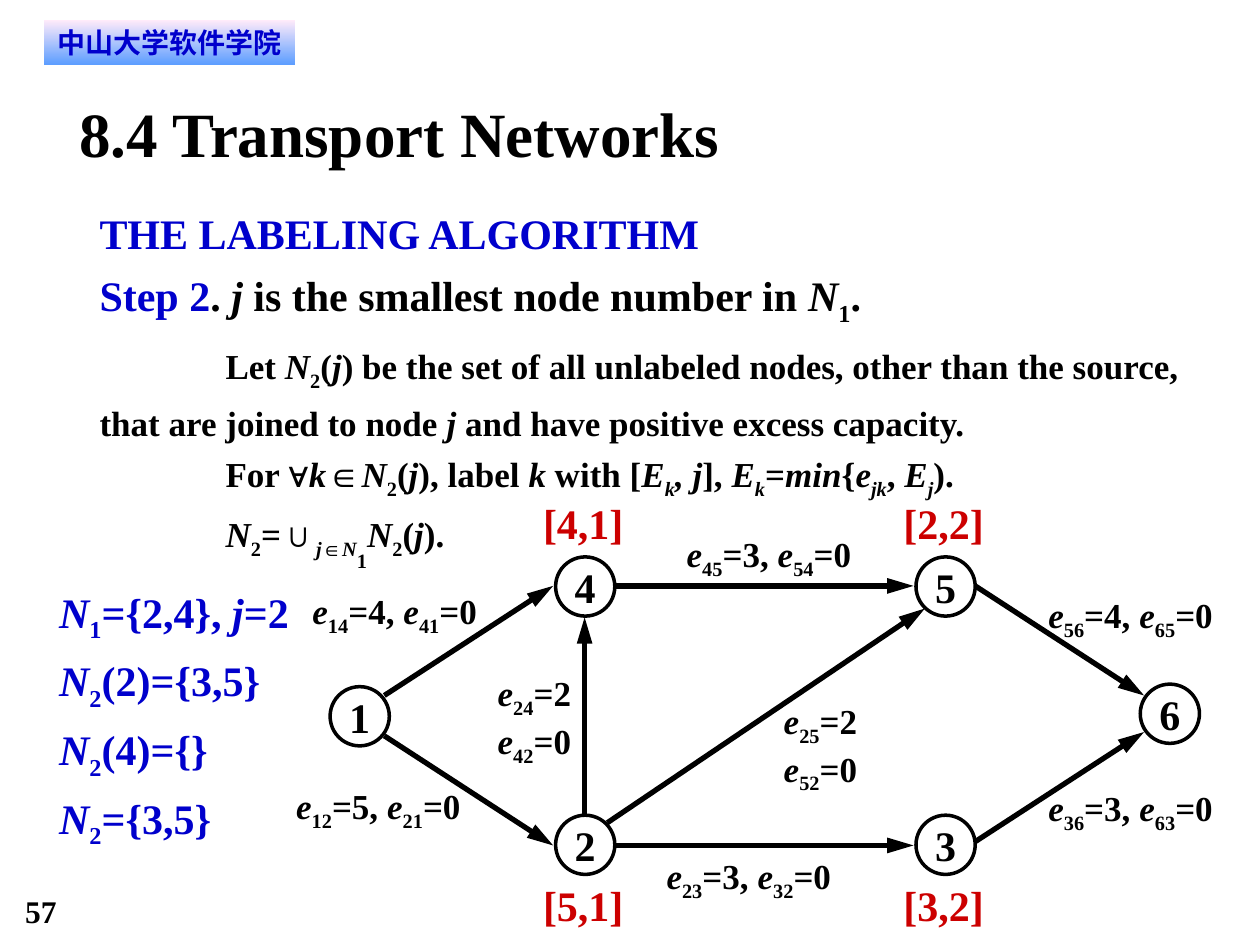
from itertools import groupby

from lxml import etree
from pptx import Presentation
from pptx.dml.color import RGBColor
from pptx.enum.shapes import MSO_CONNECTOR, MSO_SHAPE
from pptx.enum.text import MSO_ANCHOR, PP_ALIGN
from pptx.oxml.ns import qn
from pptx.util import Inches, Pt

STRAIGHT = MSO_CONNECTOR.STRAIGHT
OVAL, RECTANGLE = MSO_SHAPE.OVAL, MSO_SHAPE.RECTANGLE
CENTER, MIDDLE = PP_ALIGN.CENTER, MSO_ANCHOR.MIDDLE
COLORS = {"black": "000000", "blue": "0000CC", "red": "CC0000",
          "badge_top": "FFEBFA", "badge_bottom": "5E9EFF"}
FONT, SYMBOL_FONT, BADGE_FONT = "Times New Roman", "Arial", "DejaVu Sans"
SYMBOLS = "∀∈"

# Each mark switches one style on or off inside a text.
MARKS = {"*": "italic", "~": "subscript", "^": "deep subscript", "|": "blue", "%": "large"}
BASELINES = {"subscript": "-25000", "deep subscript": "-60000"}
LARGE = 24

BADGE = "中山大学软件学院"
TITLE = "8.4 Transport Networks"
PAGE_NUMBER = "57"
ALGORITHM = [
    "%|THE LABELING ALGORITHM|%",
    "%|Step 2|. *j* is the smallest node number in *N*~1~.%",
    "%\t%Let *N*~2~(*j*) be the set of all unlabeled nodes, other than the source, "
    "that are joined to node *j* and have positive excess capacity.",
    "\tFor ∀*k*∈*N*~2~(*j*), label *k* with [*E~k~, j*], "
    "*E~k~*=*min*{*e~jk~*, *E~j~*).",
    "\t*N*~2~=∪~*j*∈*N*~^1^*N*~2~(*j*).",
]
SETS = ["*N*~1~={2,4}, *j*=2", "*N*~2~(2)={3,5}", "*N*~2~(4)={}", "*N*~2~={3,5}"]

NODE_SIZE = 0.47
NODES = {"1": (2.62, 5.45), "2": (4.41, 6.47), "3": (7.27, 6.47),
         "4": (4.41, 4.42), "5": (7.27, 4.42), "6": (9.05, 5.43)}
NODE_LABELS = {"4": "[4,1]", "2": "[5,1]", "5": "[2,2]", "3": "[3,2]"}
LABEL_OUTDENT, LABEL_TOP_ROW, LABEL_BOTTOM_ROW = 0.1, 3.95, 6.98

# Arrow start, arrow end
ARROWS = [
    ((4.89, 4.65), (7.25, 4.65)), ((4.64, 6.48), (4.64, 4.9)),
    ((7.74, 6.68), (9.08, 5.81)), ((4.89, 6.71), (7.25, 6.71)),
    ((7.74, 4.65), (9.08, 5.52)), ((4.82, 6.53), (7.34, 4.83)),
    ((3.05, 5.52), (4.39, 4.65)), ((3.05, 5.84), (4.39, 6.71)),
]
# Edge, excess capacity forward and backward, label position, stacked on two lines
EDGES = [
    ("25", 2, 0, (6.22, 5.55), True), ("12", 5, 0, (2.35, 6.23), False),
    ("24", 2, 0, (3.95, 5.33), True), ("23", 3, 0, (5.29, 6.78), False),
    ("36", 3, 0, (8.32, 6.24), False), ("56", 4, 0, (8.32, 4.71), False),
    ("14", 4, 0, (2.48, 4.68), False), ("45", 3, 0, (5.45, 4.23), False),
]


def color(name):
    return RGBColor.from_string(COLORS[name])


def add_tab_stop(paragraph, position):
    tabs = etree.SubElement(paragraph._p.get_or_add_pPr(), qn("a:tabLst"))
    etree.SubElement(tabs, qn("a:tab"), pos=str(Inches(position)), algn="l")


def write_paragraph(paragraph, text, size, ink="black", font=FONT):
    """Split marked text into runs of one style each."""
    active, styled = frozenset(), []
    for character in text:
        if character in MARKS:
            active = active ^ {MARKS[character]}
        else:
            styled.append((character, (active, character in SYMBOLS)))
    for (styles, is_symbol), group in groupby(styled, key=lambda pair: pair[1]):
        run = paragraph.add_run()
        run.text = "".join(character for character, _ in group)
        run.font.name = SYMBOL_FONT if is_symbol else font
        run.font.size = Pt(LARGE if "large" in styles else size)
        run.font.bold = True
        run.font.italic = "italic" in styles
        run.font.color.rgb = color("blue" if "blue" in styles else ink)
        properties = run.font._element
        for style in styles & BASELINES.keys():
            properties.set("baseline", BASELINES[style])
        east_asian = etree.SubElement(properties, qn("a:ea"))
        east_asian.set("typeface", run.font.name)


def write(shape, texts, size, align=None, anchor=None, spacing=None,
          wrap=True, margins=(0, 0), tab=None, **style):
    frame = shape.text_frame
    frame.word_wrap = wrap
    frame.margin_left = frame.margin_right = Inches(margins[0])
    frame.margin_top = frame.margin_bottom = Inches(margins[1])
    if anchor is not None:
        frame.vertical_anchor = anchor
    for index, text in enumerate(texts):
        paragraph = frame.add_paragraph() if index else frame.paragraphs[0]
        paragraph.alignment = align
        paragraph.line_spacing = spacing
        if tab:
            add_tab_stop(paragraph, tab)
        write_paragraph(paragraph, text, size, **style)


def add_text(slide, box, texts, size, **style):
    write(slide.shapes.add_textbox(*map(Inches, box)), texts, size, **style)


def add_badge(slide):
    badge = slide.shapes.add_shape(RECTANGLE, *map(Inches, (0.35, 0.16, 1.99, 0.35)))
    badge.shadow.inherit = False
    badge.line.fill.background()
    badge.fill.gradient()
    badge.fill.gradient_angle = 270
    for stop, name in zip(badge.fill.gradient_stops, ("badge_top", "badge_bottom")):
        stop.color.rgb = color(name)
    write(badge, [BADGE], 16, align=CENTER, anchor=MIDDLE, margins=(0.08, 0.04),
          ink="blue", font=BADGE_FONT)


def add_node(slide, name, left, top):
    node = slide.shapes.add_shape(OVAL, *map(Inches, (left, top, NODE_SIZE, NODE_SIZE)))
    node.shadow.inherit = False
    node.fill.background()
    node.line.color.rgb = color("black")
    node.line.width = Pt(2)
    write(node, [name], 24, align=CENTER, anchor=MIDDLE, wrap=False)


def add_arrow(slide, start, end):
    arrow = slide.shapes.add_connector(STRAIGHT, *map(Inches, start + end))
    arrow.line.color.rgb = color("black")
    arrow.line.width = Pt(3)
    head = etree.SubElement(arrow.line._get_or_add_ln(), qn("a:tailEnd"))
    for key, value in (("type", "triangle"), ("w", "med"), ("len", "lg")):
        head.set(key, value)
    etree.SubElement(arrow._element.spPr, qn("a:effectLst"))


def add_edge_label(slide, edge, forward, backward, position, stacked):
    parts = [f"*e*~{edge}~={forward}", f"*e*~{edge[::-1]}~={backward}"]
    size = (0.73, 0.76) if stacked else (1.46, 0.38)
    add_text(slide, position + size, parts if stacked else [", ".join(parts)], 20)


def main():
    presentation = Presentation()
    presentation.slide_width, presentation.slide_height = Inches(10), Inches(7.5)
    slide = presentation.slides.add_slide(presentation.slide_layouts[6])

    add_text(slide, (0.2, 7.08, 0.75, 0.3), [PAGE_NUMBER], 18)
    add_badge(slide)
    add_text(slide, (0.79, 1.57, 8.64, 2.97), ALGORITHM, 20, spacing=1.2, tab=1)
    add_text(slide, (0.63, 0.75, 8.75, 0.6), [TITLE], 36)
    add_text(slide, (0.47, 4.56, 1.84, 2.18), SETS, 24, spacing=1.2, ink="blue")

    for edge in EDGES:
        add_edge_label(slide, *edge)
    for name, (left, top) in NODES.items():
        add_node(slide, name, left, top)
    for start, end in ARROWS:
        add_arrow(slide, start, end)
    for name, label in NODE_LABELS.items():
        left, top = NODES[name]
        label_top = LABEL_TOP_ROW if top < 5 else LABEL_BOTTOM_ROW
        add_text(slide, (left - LABEL_OUTDENT, label_top, 0.64, 0.4), [label], 24,
                 wrap=False, ink="red")

    presentation.save("out.pptx")


if __name__ == "__main__":
    main()
